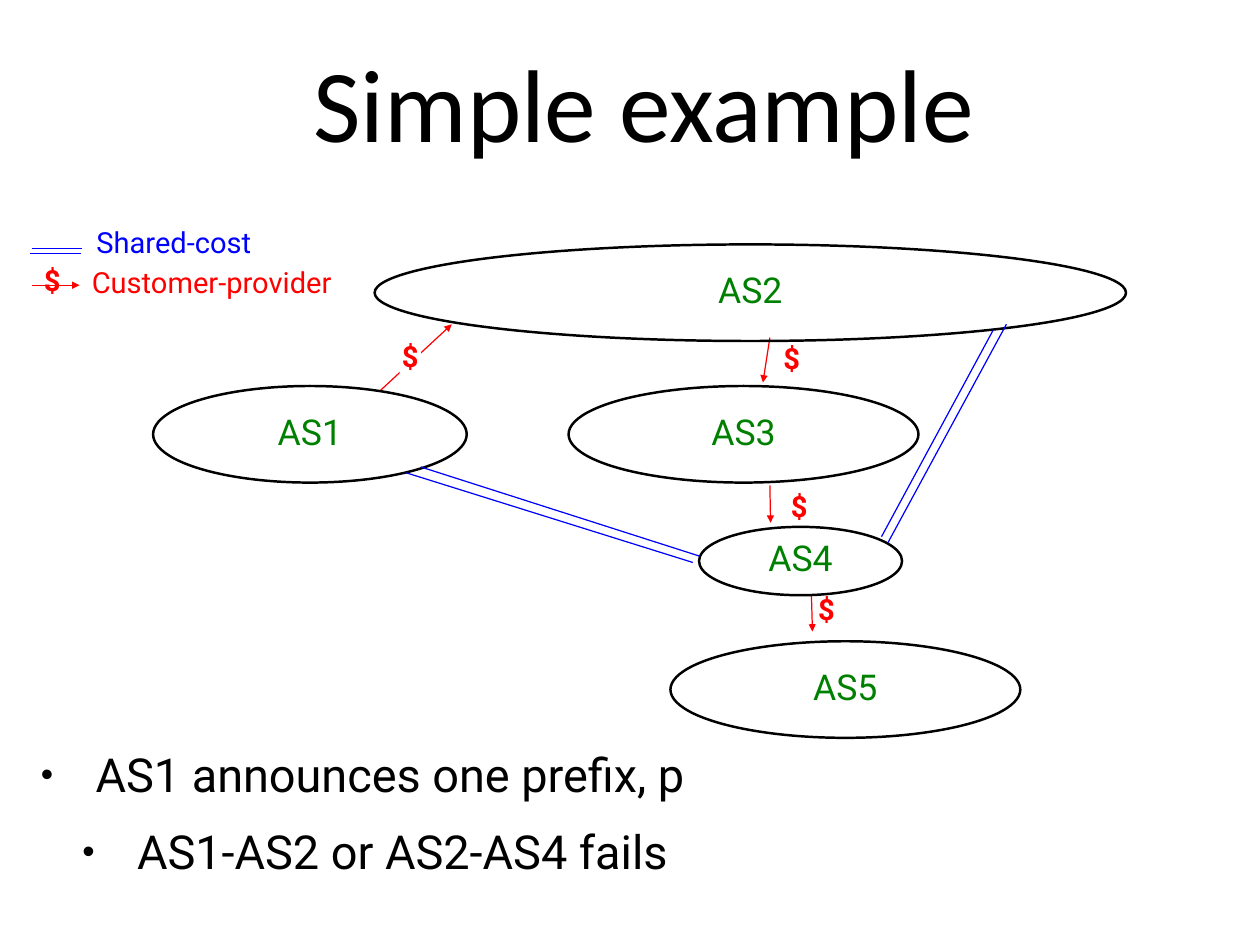
from lxml import etree
from pptx import Presentation
from pptx.dml import color
from pptx.enum import shapes, text
from pptx.oxml import ns
from pptx.util import Cm, Pt

BLACK, WHITE, RED, BLUE, GREEN = "000000", "FFFFFF", "FF0000", "0000FF", "008000"


def rgb(value):
    """Turn a hex string into a colour."""
    return color.RGBColor.from_string(value)


def sub(parent, tag, **attrs):
    """Append a DrawingML element with the given attributes."""
    return etree.SubElement(parent, ns.qn(tag), **attrs)


def write(p, words, size, colour, font="Roboto", bold=False, align=text.PP_ALIGN.CENTER):
    """Fill and format one paragraph."""
    p.text = words
    p.alignment = align
    p.line_spacing = 0.84
    p.font.size, p.font.name, p.font.bold = Pt(size), font, bold
    p.font.color.rgb = rgb(colour)


def set_frame(tf, inset=0, wrap=True):
    """Centre a text frame vertically with equal insets."""
    tf.auto_size = text.MSO_AUTO_SIZE.NONE
    tf.word_wrap = wrap
    tf.vertical_anchor = text.MSO_ANCHOR.MIDDLE
    tf.margin_left = tf.margin_right = tf.margin_top = tf.margin_bottom = Cm(inset)


def place(sp, box):
    """Move a placeholder to a box."""
    sp.left, sp.top, sp.width, sp.height = map(Cm, box)


def add_label(s, words, box, colour, bold=False):
    """Add a one-line caption on a white ground."""
    sp = s.shapes.add_textbox(*map(Cm, box))
    sp.fill.solid()
    sp.fill.fore_color.rgb = rgb(WHITE)
    set_frame(sp.text_frame, wrap=False)
    write(sp.text_frame.paragraphs[0], words, 23.6, colour, bold=bold)


def add_dollar(s, x, y):
    """Add a payment mark centred on a point."""
    w, h = 0.61, 1.02
    add_label(s, "$", (x - w / 2, y - h / 2, w, h), RED, bold=True)


def add_link(s, x, y, ends, colour, arrow=False):
    """Draw a link whose ends are relative to a corner."""
    x1, y1, x2, y2 = ends
    c = s.shapes.add_connector(shapes.MSO_CONNECTOR.STRAIGHT,
                               Cm(x + x1), Cm(y + y1), Cm(x + x2), Cm(y + y2))
    c.line.color.rgb = rgb(colour)
    c.line.width = Pt(1)
    if arrow:
        sub(c.line._get_or_add_ln(), "a:tailEnd", type="triangle")
    sub(c._element.spPr, "a:effectLst")


def add_node(s, name, box):
    """Draw one autonomous system as a named ellipse."""
    sp = s.shapes.add_shape(shapes.MSO_SHAPE.OVAL, *map(Cm, box))
    sp.shadow.inherit = False
    sp.fill.background()
    sp.line.color.rgb = rgb(BLACK)
    sp.line.width = Pt(2)
    set_frame(sp.text_frame)
    write(sp.text_frame.paragraphs[0], name, 28.9, GREEN)


def add_title(s, box):
    """Place the slide title."""
    sp = s.shapes.title
    place(sp, box)
    set_frame(sp.text_frame, 0.15)
    write(sp.text_frame.paragraphs[0], "Simple example", 84, BLACK, "Calibri")


def add_bullets(s, box):
    """Place the bulleted list."""
    sp = s.placeholders[1]
    place(sp, box)
    tf = sp.text_frame
    set_frame(tf, 0.15)
    tf.margin_bottom = Cm(1.47)
    lines = ["AS1 announces one prefix, p", "AS1-AS2 or AS2-AS4 fails"]
    for level, words in enumerate(lines):
        p = tf.add_paragraph() if level else tf.paragraphs[0]
        p.level = level
        pPr = p._p.get_or_add_pPr()
        pPr.set("marL", str(Cm(1.73 + 1.19 * level)))
        pPr.set("indent", str(Cm(-1.57)))
        sub(sub(pPr, "a:buClr"), "a:srgbClr", val=BLACK)
        sub(pPr, "a:buSzPct", val="75000")
        sub(pPr, "a:buChar", char="•")
        p.space_before = Pt(24 * level)
        write(p, words, 38.1, BLACK, align=text.PP_ALIGN.LEFT)


def add_legend(s, box):
    """Explain the two kinds of link."""
    x, y, w, h = box
    add_label(s, "Shared-cost", (x + 1.85, y + 0.03, 4.55, h * 0.4), BLUE)
    add_label(s, "Customer-provider", (x + 1.73, y + 1.19, 6.96, h * 0.4), RED)
    add_dollar(s, x + 0.64, y + 1.55)
    add_link(s, x, y, (0.05, 1.63, 1.42, 1.63), RED, arrow=True)
    for ends in [(0, 0.71, 1.45, 0.71), (0.05, 0.58, 1.5, 0.58)]:
        add_link(s, x, y, ends, BLUE)


def add_network(s, box):
    """Draw the systems and the links between them."""
    x, y, w, h = box
    nodes = {
        "AS1": (0, 4.06, 8.99, 2.77),
        "AS2": (6.35, 0, 21.54, 2.77),
        "AS3": (11.91, 4.06, 10.03, 2.77),
        "AS4": (15.65, 8.1, 5.82, 1.96),
        "AS5": (14.83, 11.38, 10.03, 2.77),
    }
    paid = [
        ((6.48, 4.22, 8.56, 2.29), (7.37, 3.28)),
        ((17.68, 2.67, 17.48, 3.96), (18.31, 3.33)),
        ((17.68, 6.91, 17.7, 7.98), (18.52, 7.57)),
        ((18.87, 10.03, 18.9, 11.1), (19.3, 10.52)),
    ]
    shared = [
        (7.26, 6.55, 15.47, 9.12), (7.67, 6.38, 15.67, 8.94),
        (24.08, 2.46, 20.88, 8.38), (24.46, 2.29, 21.06, 8.56),
    ]
    for ends, (dx, dy) in paid:
        add_link(s, x, y, ends, RED, arrow=True)
        add_dollar(s, x + dx, y + dy)
    for name, (dx, dy, nw, nh) in nodes.items():
        add_node(s, name, (x + dx, y + dy, nw, nh))
    for ends in shared:
        add_link(s, x, y, ends, BLUE)


def main():
    """Build the slide and save it."""
    prs = Presentation()
    prs.slide_width, prs.slide_height = Cm(36.12), Cm(27.1)
    s = prs.slides.add_slide(prs.slide_layouts[1])
    add_title(s, (6.27, 0.89, 24.38, 4.62))
    add_bullets(s, (0.86, 17.25, 33.93, 13.69))
    add_legend(s, (0.86, 6.55, 9.55, 2.13))
    add_network(s, (4.39, 7.01, 27.89, 14.15))
    prs.save("out.pptx")


if __name__ == "__main__":
    main()
